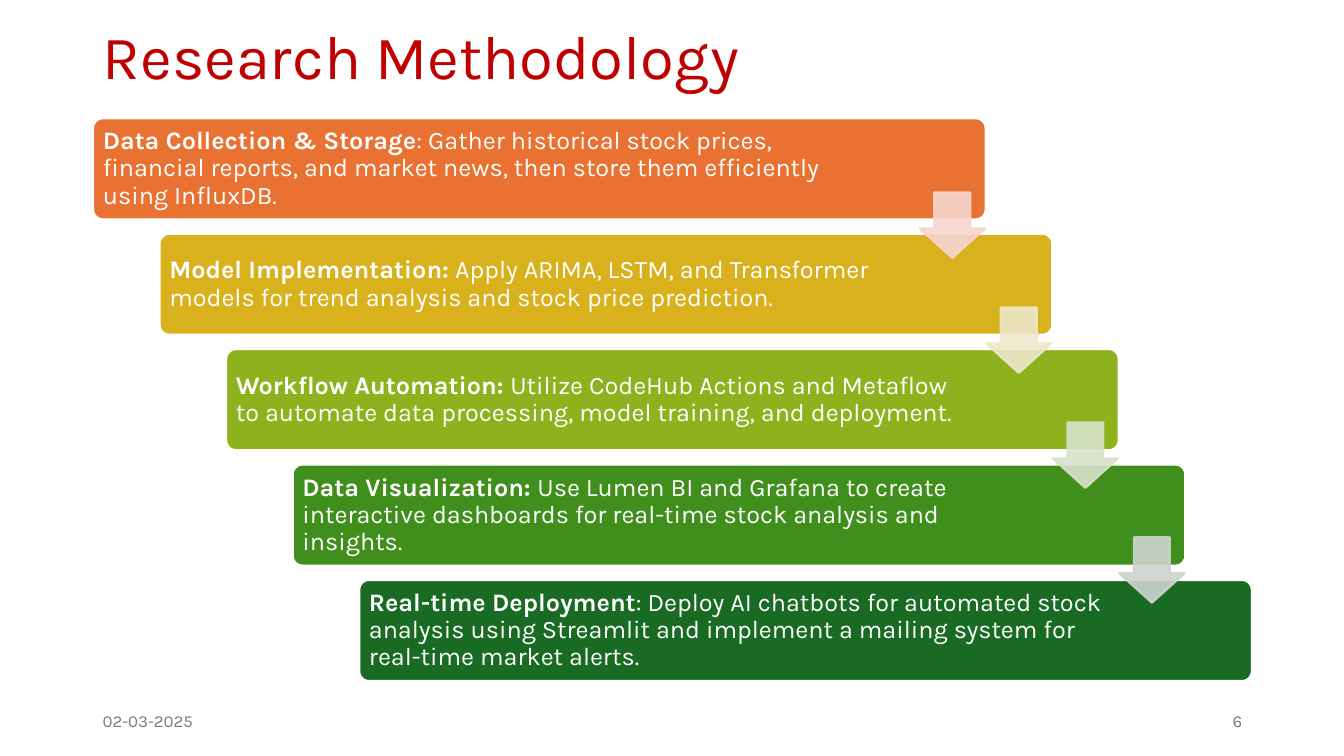
from lxml.etree import SubElement
from pptx import Presentation
from pptx.dml.color import RGBColor
from pptx.enum.shapes import MSO_SHAPE as Preset
from pptx.enum.text import MSO_ANCHOR as Anchor, MSO_AUTO_SIZE as AutoSize, PP_ALIGN as Align
from pptx.oxml.ns import qn
from pptx.util import Inches, Pt

FONT = "Karla"
MARGIN = 0.92
CONTENT_WIDTH = 11.5
STEP_TOP, STEP_WIDTH, STEP_HEIGHT = 1.17, 8.86, 1.01
COLUMN, ROW = 0.66, 1.145
ARROW_LEFT, ARROW_TOP, ARROW_SIZE, ARROW_ROW = 9.12, 1.91, 0.65, 1.14

STEPS = [
    ("E97132", 1.22, "Data Collection & Storage",
     ": Gather historical stock prices, financial reports, and market news, "
     "then store them efficiently using InfluxDB."),
    ("D8B11D", 1.39, "Model Implementation:",
     " Apply ARIMA, LSTM, and Transformer models for trend analysis and "
     "stock price prediction."),
    ("8EB21E", 1.39, "Workflow Automation: ",
     "Utilize CodeHub Actions and Metaflow to automate data processing, "
     "model training, and deployment."),
    ("408E1C", 1.39, "Data Visualization: ",
     "Use Lumen BI and Grafana to create interactive dashboards for "
     "real-time stock analysis and insights."),
    ("196B24", 1.39, "Real-time Deployment",
     ": Deploy AI chatbots for automated stock analysis using Streamlit and "
     "implement a mailing system for real-time market alerts."),
]
ARROW_COLORS = ["F7D5CE", "EEE7CB", "D8E2CA", "CCD4CD"]


def color(target, value):
    target.rgb = RGBColor.from_string(value)


def box(left, top, width, height):
    return [Inches(length) for length in (left, top, width, height)]


def add_text(paragraph, text, size=18, tint="FFFFFF", bold=False,
             align=Align.LEFT, spacing=1.0):
    paragraph.alignment = align
    paragraph.line_spacing = spacing
    run = paragraph.add_run()
    run.text = text
    run.font.name = FONT
    run.font.size = Pt(size)
    run.font.bold = bold
    color(run.font.color, tint)


def set_frame(frame, left=0.1, right=0.1, vertical=0.05):
    frame.word_wrap = True
    frame.auto_size = AutoSize.NONE
    frame.vertical_anchor = Anchor.MIDDLE
    frame.margin_left, frame.margin_right = Inches(left), Inches(right)
    frame.margin_top = frame.margin_bottom = Inches(vertical)
    return frame.paragraphs[0]


def add_preset(slide, preset, place, adjustments, fill, line, line_width):
    shape = slide.shapes.add_shape(preset, *box(*place))
    for index, value in enumerate(adjustments):
        shape.adjustments[index] = value
    shape.shadow.inherit = False
    shape.fill.solid()
    color(shape.fill.fore_color, fill)
    color(shape.line.color, line)
    shape.line.width = Pt(line_width)
    return shape


def add_title(slide, text):
    title = slide.shapes.title
    title.left, title.top, title.width, title.height = box(
        MARGIN, 0.15, CONTENT_WIDTH, 0.88)
    add_text(set_frame(title.text_frame), text, size=44, tint="C00000", spacing=0.9)


def add_step(slide, index, fill, right_inset, heading, detail):
    place = (MARGIN + index * COLUMN, STEP_TOP + index * ROW, STEP_WIDTH, STEP_HEIGHT)
    step = add_preset(slide, Preset.ROUNDED_RECTANGLE, place, [0.1], fill, "FFFFFF", 2)
    paragraph = set_frame(step.text_frame, 0.07, right_inset, 0.07)
    add_text(paragraph, heading, bold=True, spacing=0.9)
    add_text(paragraph, detail, spacing=0.9)


def add_arrow(slide, index, tint):
    place = (ARROW_LEFT + index * COLUMN, ARROW_TOP + index * ARROW_ROW,
             ARROW_SIZE, ARROW_SIZE)
    arrow = add_preset(slide, Preset.DOWN_ARROW, place, [0.55, 0.45], tint, tint, 1.5)
    for rgb in arrow.fill._xPr.iter(qn("a:srgbClr")):
        SubElement(rgb, qn("a:alpha")).set("val", "90000")


def add_footer(slide, left, text, align):
    footer = slide.shapes.add_textbox(*box(left, 6.95, 3, 0.4))
    add_text(set_frame(footer.text_frame), text, size=12, tint="797979", align=align)


def main():
    deck = Presentation()
    deck.slide_width, deck.slide_height = Inches(13.33), Inches(7.5)
    slide = deck.slides.add_slide(deck.slide_layouts[5])
    add_title(slide, "Research Methodology")
    for index, step in enumerate(STEPS):
        add_step(slide, index, *step)
    for index, tint in enumerate(ARROW_COLORS):
        add_arrow(slide, index, tint)
    add_footer(slide, MARGIN, "02-03-2025", Align.LEFT)
    add_footer(slide, MARGIN + CONTENT_WIDTH - 3, "6", Align.RIGHT)
    deck.save("out.pptx")


if __name__ == "__main__":
    main()
